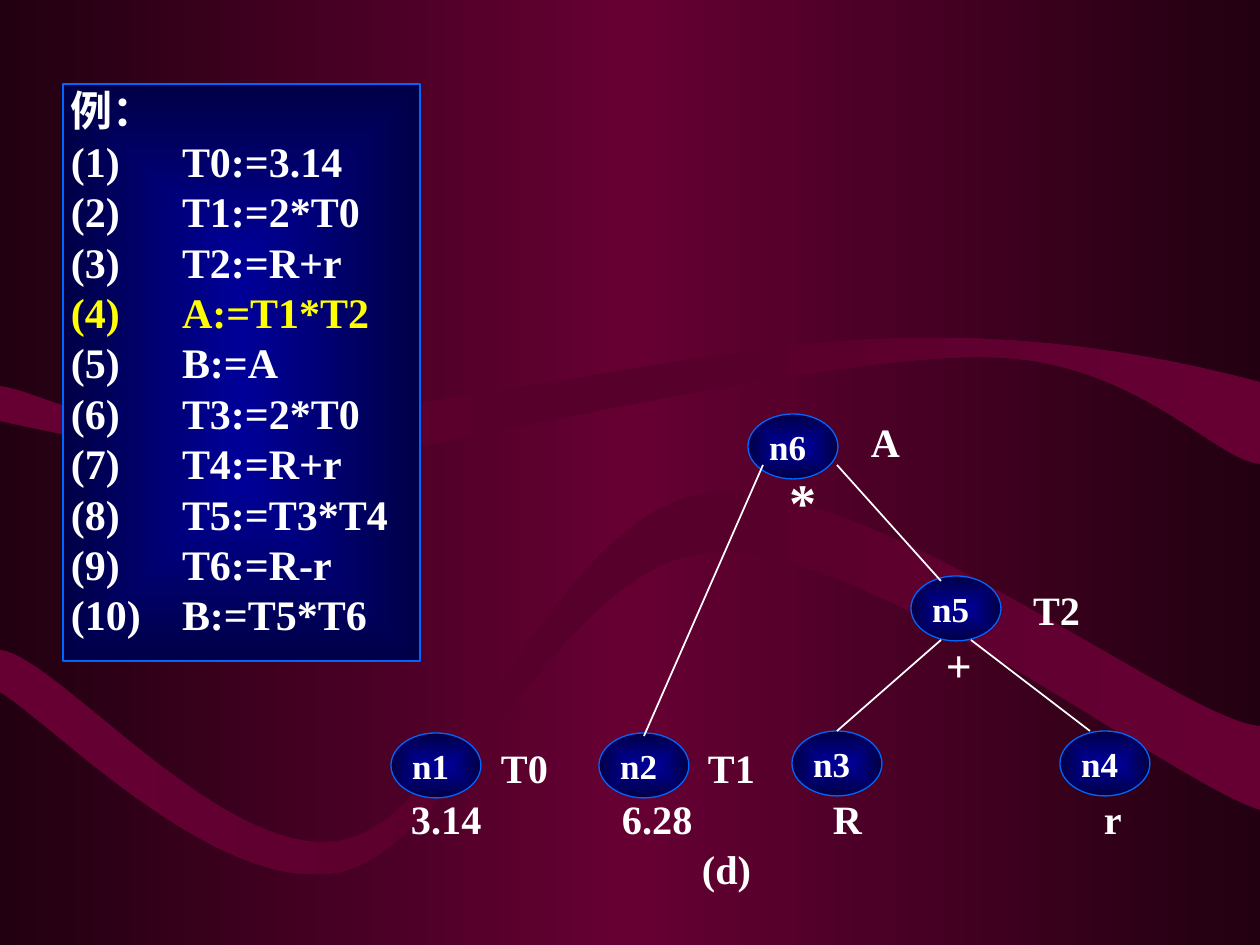
from lxml.etree import SubElement
from pptx import Presentation
from pptx.dml.color import RGBColor
from pptx.enum.shapes import MSO_CONNECTOR, MSO_SHAPE
from pptx.enum.text import MSO_ANCHOR, PP_ALIGN
from pptx.oxml.ns import qn
from pptx.util import Inches, Pt

PX = Inches(1) / 126
FONT = "Times New Roman"
WHITE, YELLOW, BLUE = "FFFFFF", "FFFF00", "0066FF"
BACKDROP = ("220011", "660033", "220011")
RIBBON = ("660033", "56002B", "660033")
GLOW = ("000099", "000046")

# Each step is one point for a straight side, or three for a Bezier curve.
UPPER_RIBBON = [
    [(0, 55)], [(0, 90)],
    [(47, 101), (220, 135), (280, 142)], [(339, 148), (239, 147), (355, 128)],
    [(473, 107), (832, 24), (983, 26)], [(1134, 26), (1213, 129), (1260, 133)],
    [(1260, 51)],
    [(1197, 34), (1053, 0), (883, 8)], [(713, 14), (387, 87), (239, 95)],
    [(92, 102), (50, 63), (0, 55)],
]
LOWER_RIBBON = [
    [(0, 175)], [(0, 217)],
    [(57, 253), (219, 421), (339, 397)], [(457, 374), (558, 87), (712, 77)],
    [(866, 66), (1168, 306), (1260, 335)],
    [(1260, 251)],
    [(1182, 246), (871, 0), (708, 18)], [(556, 37), (462, 339), (344, 365)],
    [(226, 391), (57, 180), (0, 175)],
]
STATEMENTS = ["T0:=3.14", "T1:=2*T0", "T2:=R+r", "A:=T1*T2", "B:=A",
              "T3:=2*T0", "T4:=R+r", "T5:=T3*T4", "T6:=R-r", "B:=T5*T6"]
CURRENT = 4
NODES = [("n1", 0, 319), ("n2", 208, 319), ("n3", 401, 317),
         ("n4", 669, 317), ("n5", 520, 162), ("n6", 357, 0)]
EDGES = [(372, 51, 253, 322), (446, 51, 550, 167),
         (550, 226, 446, 317), (580, 226, 699, 317)]
# Each row of labels: top, text size, and the texts with their left edges.
LABEL_ROWS = [
    (3, 23, {"A": 480}), (54, 31, {"*": 399}),
    (171, 23, {"T2": 642}), (223, 26, {"+": 555}),
    (329, 23, {"T0": 110, "T1": 317}),
    (380, 23, {"3.14": 20, "6.28": 231, "R": 442, "r": 713}),
    (430, 23, {"(d)": 311}),
]


def emu(*lengths):
    return [round(length * PX) for length in lengths]


def rgb(value):
    return RGBColor.from_string(value)


def shade(fill, holder, colors, centred=False):
    """Fill with evenly spaced stops, from left to right or from the centre out."""
    fill.gradient()
    gradient = holder.find(".//" + qn("a:gradFill"))
    for child in list(gradient):
        gradient.remove(child)
    stops = SubElement(gradient, qn("a:gsLst"))
    for i, color in enumerate(colors):
        stop = SubElement(stops, qn("a:gs"), pos=str(100000 * i // (len(colors) - 1)))
        SubElement(stop, qn("a:srgbClr"), val=color)
    if centred:
        path = SubElement(gradient, qn("a:path"), path="rect")
        SubElement(path, qn("a:fillToRect"), l="50000", t="50000", r="50000", b="50000")
    else:
        SubElement(gradient, qn("a:lin"), ang="0", scaled="0")


def set_insets(frame, left, top, right=0, bottom=0):
    frame.word_wrap = True
    frame.vertical_anchor = MSO_ANCHOR.TOP
    (frame.margin_left, frame.margin_top,
     frame.margin_right, frame.margin_bottom) = emu(left, top, right, bottom)


def set_tabs(paragraph, stops):
    tabs = SubElement(paragraph._p.get_or_add_pPr(), qn("a:tabLst"))
    for stop in emu(*stops):
        SubElement(tabs, qn("a:tab"), pos=str(stop), algn="l")


def add_run(paragraph, text, size, color=WHITE):
    paragraph.alignment = PP_ALIGN.LEFT
    run = paragraph.add_run()
    run.text = text
    run.font.name, run.font.size, run.font.bold = FONT, Pt(size), True
    run.font.color.rgb = rgb(color)


def add_glowing(slide, preset, *box):
    shape = slide.shapes.add_shape(preset, *emu(*box))
    shape.shadow.inherit = False
    shade(shape.fill, shape.element.spPr, GLOW, centred=True)
    shape.line.color.rgb = rgb(BLUE)
    shape.line.width = Pt(0.75)
    return shape


def add_ribbon(slide, x, y, outline):
    corners = [emu(x + px, y + py) for step in outline for px, py in step]
    builder = slide.shapes.build_freeform(*corners[0])
    builder.add_line_segments(corners[1:], close=True)
    ribbon = builder.convert_to_shape()
    sides = iter(ribbon.element.findall(".//" + qn("a:lnTo")))
    for step in outline[1:]:
        parts = [next(sides) for _ in step]
        if len(parts) == 3:
            bend_sides(parts)
    ribbon.shadow.inherit = False
    shade(ribbon.fill, ribbon.element.spPr, RIBBON)
    ribbon.line.fill.background()


def bend_sides(sides):
    """Turn three straight sides into one Bezier curve through their points."""
    outline = sides[0].getparent()
    curve = SubElement(outline, qn("a:cubicBezTo"))
    sides[0].addprevious(curve)
    for side in sides:
        curve.append(side[0])
        outline.remove(side)


def add_code_panel(slide, x, y, width, height):
    frame = add_glowing(slide, MSO_SHAPE.RECTANGLE, x, y, width, height).text_frame
    set_insets(frame, 8, 1, 8, 1)
    lines = ["例："] + [f"({i})\t{code}" for i, code in enumerate(STATEMENTS, 1)]
    for number, line in enumerate(lines):
        paragraph = frame.add_paragraph() if number else frame.paragraphs[0]
        paragraph.line_spacing = Pt(28.8)
        if number:
            set_tabs(paragraph, [111])
        add_run(paragraph, line, 24, YELLOW if number == CURRENT else WHITE)


def add_label_row(slide, x, y, size, labels):
    """Set the labels on one line, each at its own distance from x."""
    first, *others = labels.values()
    width = max(labels.values()) - first + 84
    row = slide.shapes.add_textbox(*emu(x + first, y, width, 2 * size + 2))
    set_insets(row.text_frame, 0, 0)
    paragraph = row.text_frame.paragraphs[0]
    if others:
        set_tabs(paragraph, [left - first for left in others])
    add_run(paragraph, "\t".join(labels), size)


def add_expression_graph(slide, x, y):
    for top, size, labels in LABEL_ROWS:
        add_label_row(slide, x, y + top, size, labels)
    for name, left, top in NODES:
        node = add_glowing(slide, MSO_SHAPE.OVAL, x + left, y + top, 90, 65)
        set_insets(node.text_frame, 8, 2)
        add_run(node.text_frame.paragraphs[0], name, 20)
    for x1, y1, x2, y2 in EDGES:
        edge = slide.shapes.add_connector(
            MSO_CONNECTOR.STRAIGHT, *emu(x + x1, y + y1, x + x2, y + y2))
        edge.line.color.rgb = rgb(WHITE)
        edge.line.width = Pt(1)
        SubElement(edge.element.spPr, qn("a:effectLst"))


def main():
    deck = Presentation()
    deck.slide_width, deck.slide_height = emu(1260, 945)
    slide = deck.slides.add_slide(deck.slide_layouts[6])
    shade(slide.background.fill, slide.element, BACKDROP)
    add_ribbon(slide, 0, 331, UPPER_RIBBON)
    add_ribbon(slide, 0, 475, LOWER_RIBBON)
    add_expression_graph(slide, 391, 414)
    add_code_panel(slide, 63, 84, 357, 577)
    deck.save("out.pptx")


if __name__ == "__main__":
    main()
